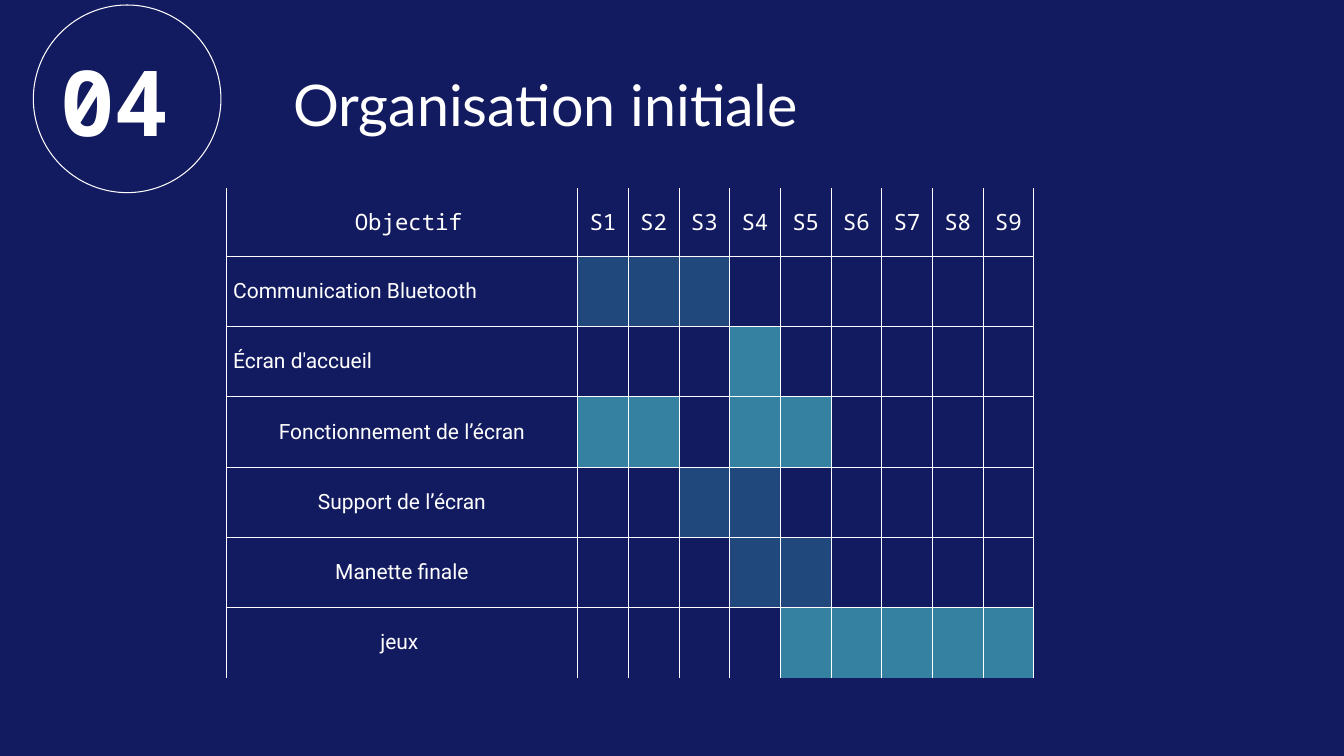
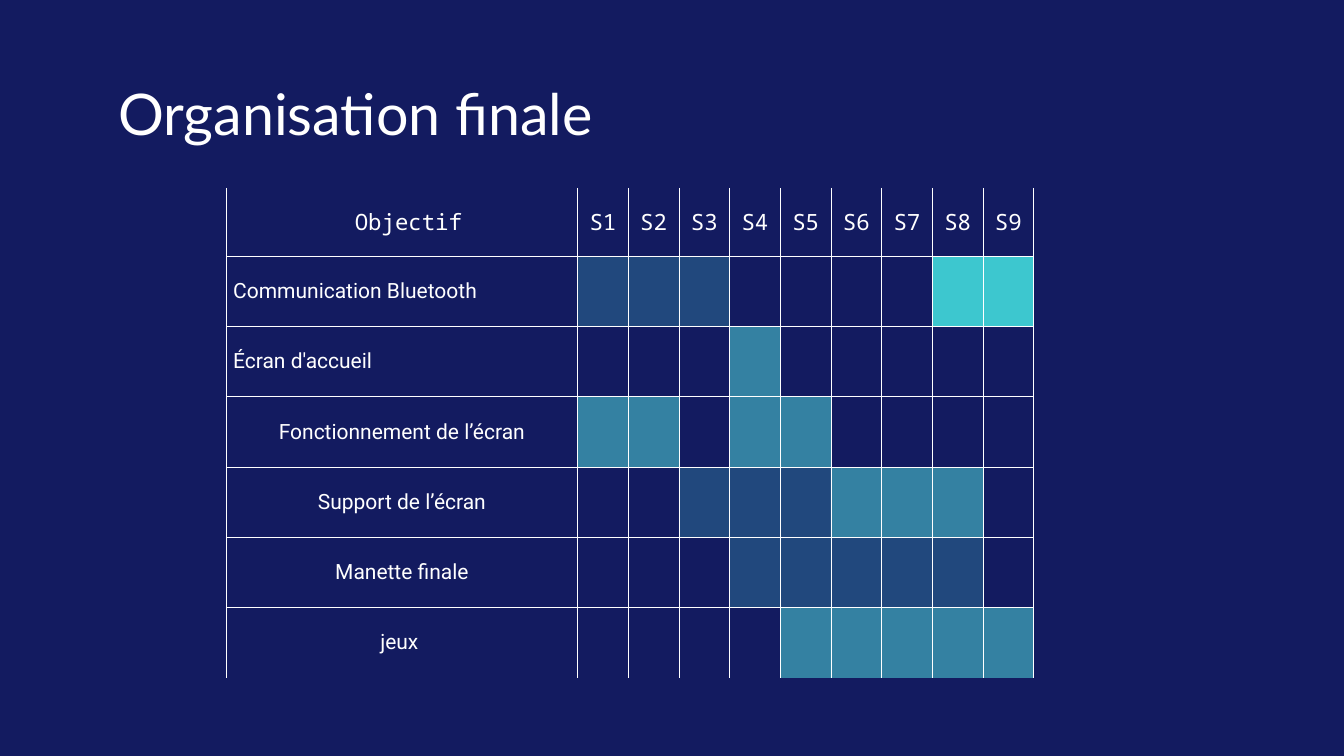
"""Build two slides that plan a project week by week, first and final."""
from dataclasses import dataclass

from lxml import etree
from pptx import Presentation
from pptx.dml.color import RGBColor
from pptx.enum.shapes import MSO_SHAPE
from pptx.enum.text import MSO_ANCHOR, PP_ALIGN
from pptx.oxml.ns import qn
from pptx.slide import Slide
from pptx.table import Table, _Cell
from pptx.text.text import TextFrame
from pptx.util import Pt

OVAL = MSO_SHAPE.OVAL
TOP, MID, LOW = MSO_ANCHOR.TOP, MSO_ANCHOR.MIDDLE, MSO_ANCHOR.BOTTOM
LEFT, MIDST = PP_ALIGN.LEFT, PP_ALIGN.CENTER

HUES = {"navy": "131B60", "white": "FFFFFF", "aqua": "5DFEF4", "cyan": "3DC7CF"}
RULE = 0.75
PAD = 9.36
WEEKS = 9
GOAL_W, WEEK_W = 251, 36.2
HEAD_H, ROW_H = 49, 50.2
GRID_X, GRID_Y = 161.6, 134.2


@dataclass(frozen=True)
class Face:
    """Font, size and weight of a text."""
    name: str
    size: float
    bold: bool = False


@dataclass(frozen=True)
class Shade:
    """Fill of a busy week, with its opacity in percent."""
    hue: str
    alpha: int = 100


@dataclass(frozen=True)
class Goal:
    """Label of a table row."""
    name: str
    align: PP_ALIGN = MIDST


@dataclass(frozen=True)
class Plan:
    """One slide: title, its place, the weeks of each goal, and a number."""
    title: str
    left: float
    top: float
    weeks: tuple[str, ...]
    number: str = ""


TITLE = Face("Lato", 41)
BADGE = Face("Noto Sans Mono", 65, True)
HEAD = Face("Noto Sans Mono", 16)
BODY = Face("Roboto", 15)

SHADES = {"d": Shade("aqua", 20), "m": Shade("aqua", 45), "b": Shade("cyan")}

GOALS = (
    Goal("Communication Bluetooth", LEFT),
    Goal("Écran d'accueil", LEFT),
    Goal("Fonctionnement de l’écran"),
    Goal("Support de l’écran"),
    Goal("Manette finale"),
    Goal("jeux "),
)

PLANS = (
    Plan("Organisation initiale", 200, 40.3, (
        "ddd......",
        "...m.....",
        "mm.mm....",
        "..dd.....",
        "...dd....",
        "....mmmmm",
    ), "04"),
    Plan("Organisation finale", 75, 46.8, (
        "ddd....bb",
        "...m.....",
        "mm.mm....",
        "..dddmmm.",
        "...ddddd.",
        "....mmmmm",
    )),
)


def tint(key: str) -> RGBColor:
    """Return a named colour."""
    return RGBColor.from_string(HUES[key])


def write(frame: TextFrame, text: str, face: Face, align: PP_ALIGN = LEFT) -> None:
    """Put one white paragraph in a frame."""
    frame.text = text
    line = frame.paragraphs[0]
    line.alignment = align
    line.font.name = face.name
    line.font.size = Pt(face.size)
    line.font.bold = face.bold
    line.font.color.rgb = tint("white")


def inset(box: TextFrame | _Cell, left: float, rest: float) -> None:
    """Set the left margin and the three others."""
    box.margin_left = Pt(left)
    box.margin_top = box.margin_right = box.margin_bottom = Pt(rest)


def label(slide: Slide, text: str, face: Face, area: tuple[float, ...],
          anchor: MSO_ANCHOR) -> None:
    """Add a text box."""
    frame = slide.shapes.add_textbox(*map(Pt, area)).text_frame
    frame.word_wrap = True
    frame.vertical_anchor = anchor
    inset(frame, PAD, PAD)
    write(frame, text, face)


def badge(slide: Slide, text: str) -> None:
    """Draw the chapter number in its ring."""
    ring = slide.shapes.add_shape(OVAL, Pt(23.8), Pt(3.6), Pt(134), Pt(134))
    ring.shadow.inherit = False
    ring.fill.background()
    ring.line.color.rgb = tint("white")
    ring.line.width = Pt(RULE)
    label(slide, text, BADGE, (33.8, 21.6, 113.8, 98.6), LOW)


def edge(cell: _Cell, sides: str) -> None:
    """Rule the given sides of a cell and clear the others."""
    props = cell._tc.get_or_add_tcPr()
    for side in "LRTB":
        line = etree.SubElement(props, qn(f"a:ln{side}"), w=str(Pt(RULE)))
        if side in sides:
            fill = etree.SubElement(line, qn("a:solidFill"))
            etree.SubElement(fill, qn("a:srgbClr"), val=HUES["white"])
        else:
            etree.SubElement(line, qn("a:noFill"))


def paint(cell: _Cell, code: str) -> None:
    """Fill a cell by its code, or leave it clear."""
    shade = SHADES.get(code)
    if shade is None:
        cell.fill.background()
        return
    cell.fill.solid()
    cell.fill.fore_color.rgb = tint(shade.hue)
    if shade.alpha < 100:
        color = cell._tc.tcPr.find(f"{qn('a:solidFill')}/{qn('a:srgbClr')}")
        etree.SubElement(color, qn("a:alpha"), val=str(shade.alpha * 1000))


def name(cell: _Cell, text: str, face: Face, align: PP_ALIGN,
         left: float, rest: float) -> None:
    """Write a heading or a goal in a cell."""
    cell.vertical_anchor = MID
    inset(cell, left, rest)
    write(cell.text_frame, text, face, align)


def fill(table: Table, weeks: tuple[str, ...]) -> None:
    """Write the labels, then rule and paint all cells."""
    for col in range(WEEKS + 1):
        text = f"S{col}" if col else "Objectif"
        name(table.cell(0, col), text, HEAD, MIDST, 0 if col else PAD, 0)
    for row, goal in enumerate(GOALS, 1):
        name(table.cell(row, 0), goal.name, BODY, goal.align, 5, 5)
    codes = ("." * WEEKS, *weeks)
    for row, line in enumerate(codes):
        sides = "LR" + "T" * (row > 0) + "B" * (row < len(GOALS))
        for col, code in enumerate("." + line):
            edge(table.cell(row, col), sides)
            paint(table.cell(row, col), code)


def chart(slide: Slide, weeks: tuple[str, ...]) -> None:
    """Add the table of goals and weeks."""
    wide = GOAL_W + WEEKS * WEEK_W
    high = HEAD_H + len(GOALS) * ROW_H
    table = slide.shapes.add_table(
        len(GOALS) + 1, WEEKS + 1, Pt(GRID_X), Pt(GRID_Y), Pt(wide), Pt(high)).table
    table.first_row = table.horz_banding = False
    for spot, col in enumerate(table.columns):
        col.width = Pt(WEEK_W if spot else GOAL_W)
    for spot, row in enumerate(table.rows):
        row.height = Pt(ROW_H if spot else HEAD_H)
    fill(table, weeks)


def main() -> None:
    """Build and save the slides."""
    deck = Presentation()
    deck.slide_width, deck.slide_height = Pt(960), Pt(540)
    ground = deck.slide_master.background.fill
    ground.solid()
    ground.fore_color.rgb = tint("navy")
    for plan in PLANS:
        slide = deck.slides.add_slide(deck.slide_layouts[6])
        label(slide, plan.title, TITLE, (plan.left, plan.top, 810, 60.5), TOP)
        chart(slide, plan.weeks)
        if plan.number:
            badge(slide, plan.number)
    deck.save("out.pptx")


if __name__ == "__main__":
    main()
